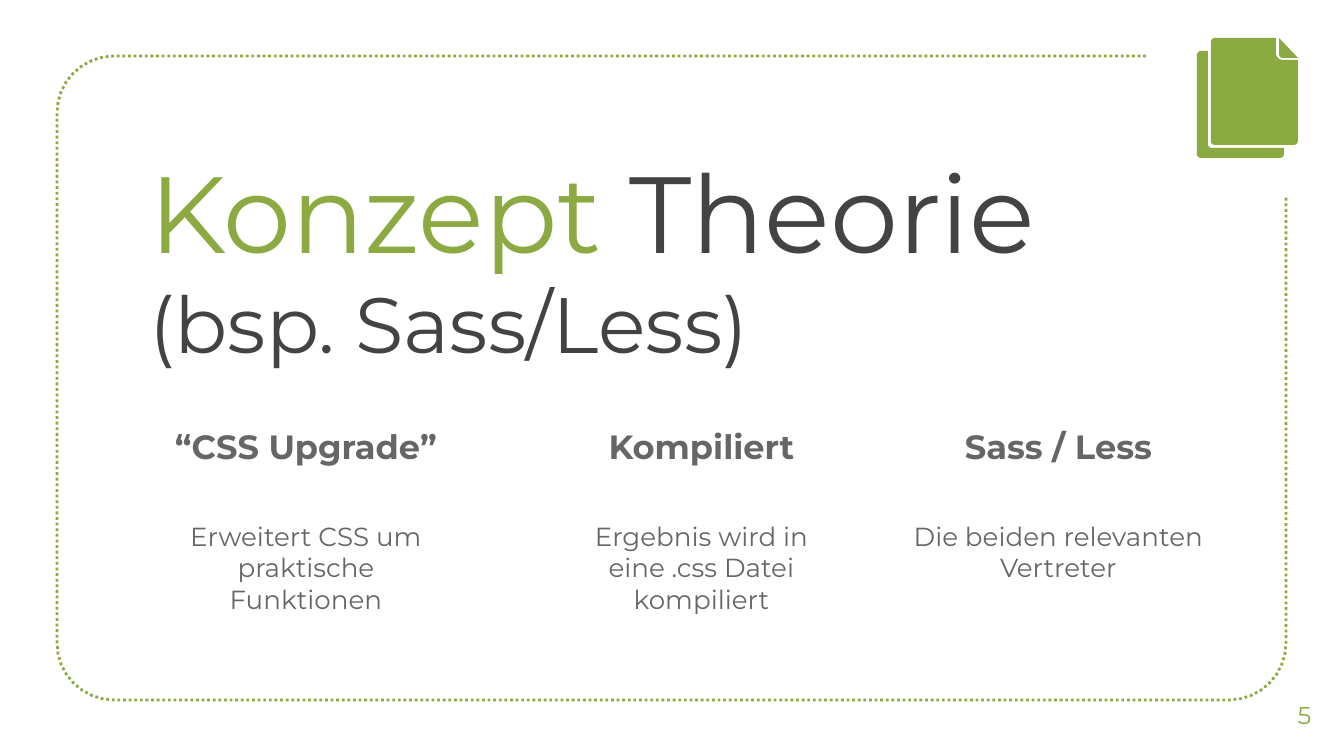
import math

import pptx
import pptx.dml.color
import pptx.enum.dml
import pptx.enum.text
import pptx.oxml.ns
import pptx.util
from lxml import etree

GREEN = pptx.dml.color.RGBColor(0x8B, 0xAB, 0x42)
DARK = pptx.dml.color.RGBColor(0x43, 0x43, 0x43)
GREY = pptx.dml.color.RGBColor(0x66, 0x66, 0x66)
FONT = "Montserrat"
EMU_PER_PIXEL = 914400 / 134.4
INSET = 13
ARC_STEPS = 8
ALIGN = pptx.enum.text.PP_ALIGN
ANCHOR = pptx.enum.text.MSO_ANCHOR

COLUMNS = [
    ((148, 413, 316, 301), "“CSS Upgrade”", "Erweitert CSS um praktische Funktionen"),
    ((555, 413, 293, 301), "Kompiliert", "Ergebnis wird in eine .css Datei kompiliert"),
    ((878, 413, 361, 301), "Sass / Less", "Die beiden relevanten Vertreter"),
]


def emu(pixels):
    """Turn pixels into EMU."""
    return pptx.util.Emu(round(pixels * EMU_PER_PIXEL))


def place(shape, box):
    """Move a shape to its box."""
    shape.left, shape.top, shape.width, shape.height = map(emu, box)


def prepare_frame(frame, anchor):
    """Give a text frame its insets, wrapping and anchor."""
    frame.margin_left = frame.margin_right = emu(INSET)
    frame.margin_top = frame.margin_bottom = emu(INSET)
    frame.word_wrap = True
    frame.auto_size = pptx.enum.text.MSO_AUTO_SIZE.NONE
    frame.vertical_anchor = anchor


def format_run(run, size, color, bold=False):
    """Set the font of a run."""
    run.font.name = FONT
    run.font.size = pptx.util.Pt(size)
    run.font.bold = bold
    run.font.color.rgb = color


def round_corners(corners):
    """Replace each right-angled corner that has a radius by an arc."""
    points = []
    for index, (x, y, radius) in enumerate(corners):
        if not radius:
            points.append((x, y))
            continue
        before, after = corners[index - 1], corners[(index + 1) % len(corners)]
        length_in = math.dist(before[:2], (x, y))
        length_out = math.dist((x, y), after[:2])
        for step in range(ARC_STEPS + 1):
            angle = math.pi / 2 * step / ARC_STEPS
            back = radius * (1 - math.sin(angle)) / length_in
            ahead = radius * (1 - math.cos(angle)) / length_out
            points.append((
                x - (x - before[0]) * back + (after[0] - x) * ahead,
                y - (y - before[1]) * back + (after[1] - y) * ahead,
            ))
    return points


def add_outline(shapes, left, top, corners, closed=True):
    """Draw an outline whose corners are relative to a left top point."""
    points = [(emu(left + x), emu(top + y)) for x, y in round_corners(corners)]
    builder = shapes.build_freeform(*points[0], scale=1.0)
    builder.add_line_segments(points[1:], close=closed)
    outline = builder.convert_to_shape()
    outline.shadow.inherit = False
    return outline


def add_border(slide, box):
    """Draw the dotted border that leaves the top right corner open."""
    left, top, width, height = box
    radius = 57
    corners = [(width - 140, 0, 0), (0, 0, radius), (0, height, radius),
               (width, height, radius), (width, 140, 0)]
    border = add_outline(slide.shapes, left, top, corners, closed=False)
    border.fill.background()
    border.line.color.rgb = GREEN
    border.line.width = pptx.util.Pt(1.5)
    border.line.dash_style = pptx.enum.dml.MSO_LINE.ROUND_DOT


def add_pages_icon(slide, left, top):
    """Draw two stacked sheets with a folded corner."""
    width, height, radius = 87, 107, 4
    bottom = [(width, height, radius), (0, height, radius)]
    back = [(0, 0, radius), (11, 0, 0), (11, 97, radius), (width, 97, 0)] + bottom
    front = [(0, 0, radius), (65, 0, 0), (65, 22, 7), (width, 22, 0)] + bottom
    fold = [(0, 0, 0), (19, 20, 0), (0, 20, radius)]
    icon = slide.shapes.add_group_shape()
    for x, y, corners in [(0, 13, back), (14, 0, front), (82, 0, fold)]:
        sheet = add_outline(icon.shapes, left + x, top + y, corners)
        sheet.fill.solid()
        sheet.fill.fore_color.rgb = GREEN
        sheet.line.fill.background()


def fill_title(title, box):
    """Write the two-line title."""
    place(title, box)
    prepare_frame(title.text_frame, ANCHOR.TOP)
    paragraph = title.text_frame.paragraphs[0]
    paragraph.alignment = ALIGN.LEFT
    paragraph.text = "Konzept "
    paragraph.add_run().text = "Theorie"
    paragraph.add_line_break()
    paragraph.add_run().text = "(bsp. Sass/Less)"
    for run, size, color in zip(paragraph.runs, (58, 58, 42), (GREEN, DARK, DARK)):
        format_run(run, size, color)


def fill_column(column, box, heading, description):
    """Write a heading and its description into a body placeholder."""
    place(column, box)
    frame = column.text_frame
    prepare_frame(frame, ANCHOR.TOP)
    frame.text = f"{heading}\n{description}"
    styles = [(18, True, 0), (14, False, 29)]
    for paragraph, (size, bold, gap) in zip(frame.paragraphs, styles):
        paragraph.alignment = ALIGN.CENTER
        paragraph.space_before = pptx.util.Pt(gap)
        properties = paragraph._p.get_or_add_pPr()
        properties.set("marL", "0")
        properties.set("indent", "0")
        etree.SubElement(properties, pptx.oxml.ns.qn("a:buNone"))
        format_run(paragraph.runs[0], size, GREY, bold)


def add_page_number(slide, box, number):
    """Write the page number."""
    page_number = slide.shapes.add_textbox(*map(emu, box))
    prepare_frame(page_number.text_frame, ANCHOR.MIDDLE)
    page_number.text_frame.text = number
    paragraph = page_number.text_frame.paragraphs[0]
    paragraph.alignment = ALIGN.CENTER
    format_run(paragraph.runs[0], 13, GREEN)


def build_concept_slide(presentation):
    """Build the slide with a title, three columns and a border."""
    slide = presentation.slides.add_slide(presentation.slide_layouts[4])
    title, *columns, spare = list(slide.placeholders)
    spare.element.getparent().remove(spare.element)
    add_border(slide, (57, 56, 1229, 644))
    fill_title(title, (136, 132, 1009, 126))
    for column, content in zip(columns, COLUMNS):
        fill_column(column, *content)
    add_page_number(slide, (1265, 675, 79, 80), "5")
    add_pages_icon(slide, 1197, 38)


presentation = pptx.Presentation()
presentation.slide_width = emu(1344)
presentation.slide_height = emu(756)
build_concept_slide(presentation)
presentation.save("out.pptx")
